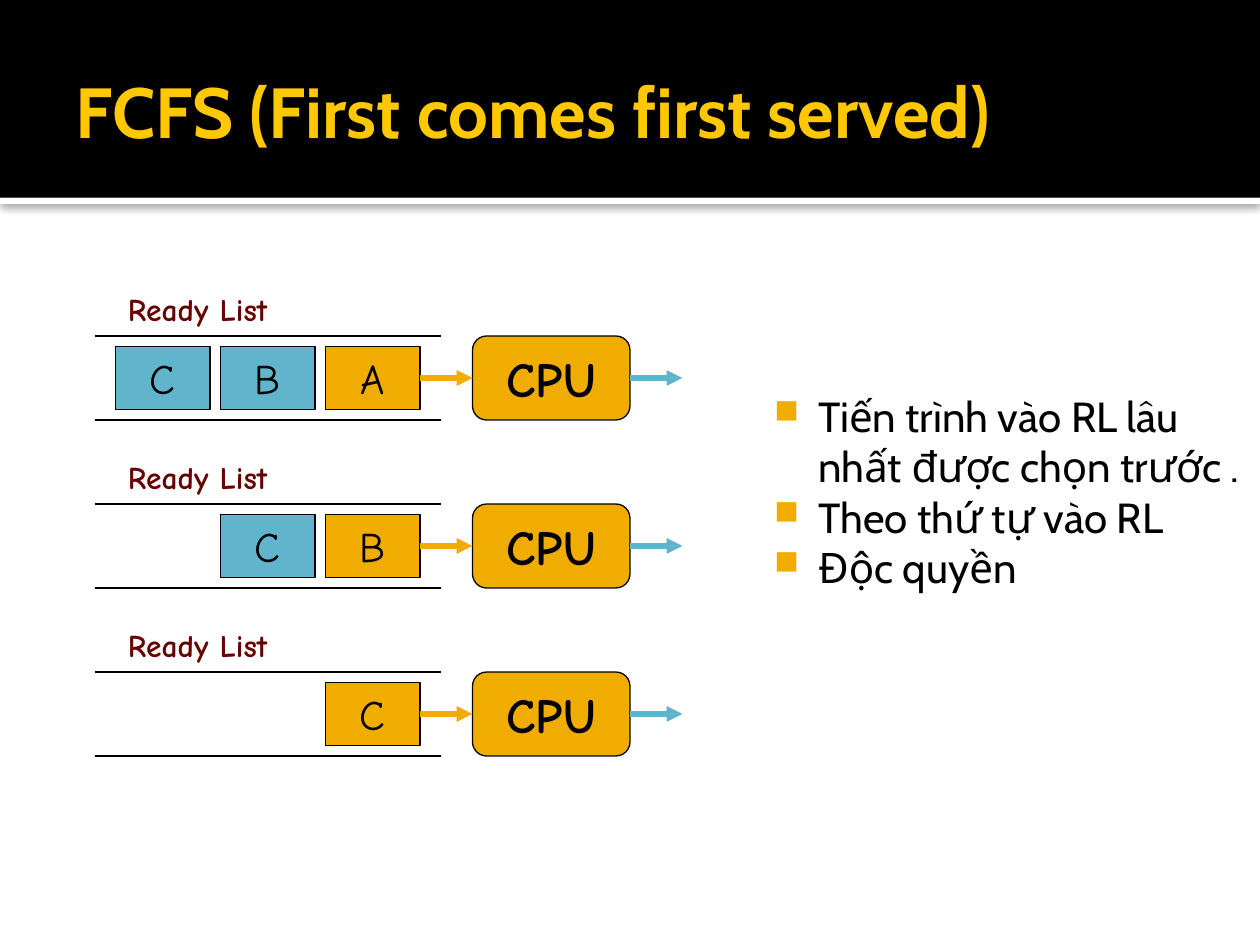
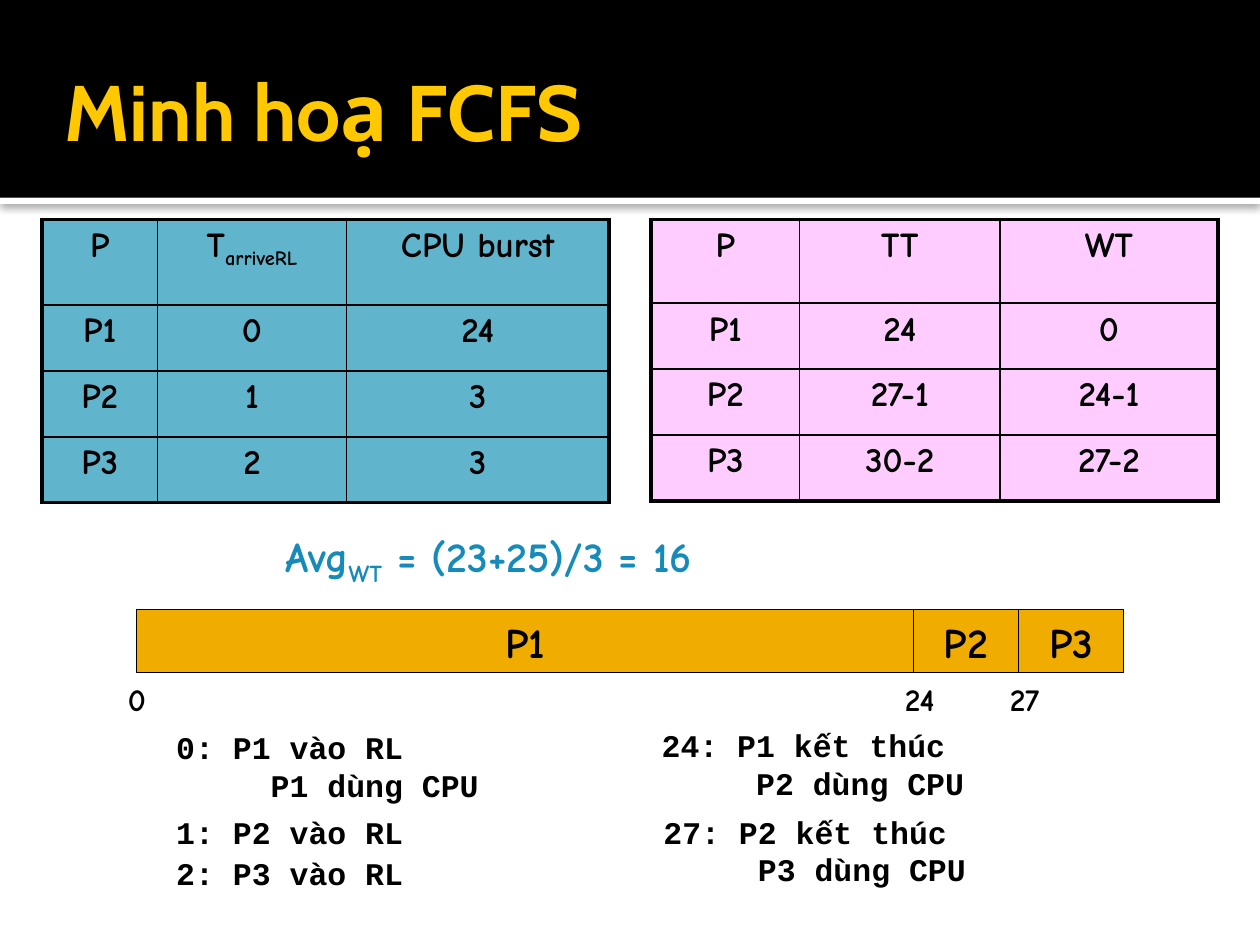
from itertools import accumulate

from lxml.etree import SubElement
from pptx import Presentation
from pptx.dml.color import RGBColor
from pptx.enum.shapes import MSO_CONNECTOR as Connector, MSO_SHAPE as Preset
from pptx.enum.text import MSO_ANCHOR as Anchor, PP_ALIGN as Align
from pptx.oxml.ns import qn
from pptx.util import Pt

COLORS = {
    "black": "000000",
    "white": "FFFFFF",
    "title": "FFC800",
    "gold": "F0AD00",
    "blue": "60B5CC",
    "pink": "FFCCFF",
    "maroon": "680000",
    "result": "168BBA",
}

STYLES = {
    "title": {"name": "Cabin", "size": Pt(45), "bold": True},
    "body": {"name": "Cabin", "size": Pt(24)},
    "process": {"name": "Comic Neue", "size": Pt(24)},
    "cpu": {"name": "Comic Neue", "size": Pt(28), "bold": True},
    "label": {"name": "Comic Neue", "size": Pt(18), "bold": True},
    "cell": {"name": "Comic Neue", "size": Pt(20), "bold": True},
    "strong": {"name": "Comic Neue", "size": Pt(24), "bold": True},
    "log": {"name": "Courier New", "size": Pt(18), "bold": True},
}


def rgb(color):
    return RGBColor.from_string(COLORS[color])


def set_attributes(target, values):
    for name, value in values.items():
        setattr(target, name, value)


def write_paragraph(paragraph, text, style, color="black"):
    for number, line in enumerate(text.split("\n")):
        if number:
            paragraph.add_line_break()
        for index, part in enumerate(line.split("_")):
            run = paragraph.add_run()
            run.text = part
            set_attributes(run.font, STYLES[style])
            run.font.color.rgb = rgb(color)
            if index % 2:
                run.font._element.set("baseline", "-25000")


def add_text(slide, box, text, style, color="black", **frame_format):
    shape = slide.shapes.add_textbox(*map(Pt, box))
    frame = shape.text_frame
    set_attributes(frame, {"word_wrap": True, **frame_format})
    write_paragraph(frame.paragraphs[0], text, style, color)
    return frame


def add_block(slide, box, fill, text="", style="process", preset=Preset.RECTANGLE, outlined=True):
    shape = slide.shapes.add_shape(preset, *map(Pt, box))
    shape.shadow.inherit = False
    shape.fill.solid()
    shape.fill.fore_color.rgb = rgb(fill)
    if outlined:
        shape.line.color.rgb = rgb("black")
        shape.line.width = Pt(0.75)
    else:
        shape.line.fill.background()
    if text:
        frame = shape.text_frame
        set_attributes(frame, {"word_wrap": False, "vertical_anchor": Anchor.MIDDLE})
        frame.paragraphs[0].alignment = Align.CENTER
        write_paragraph(frame.paragraphs[0], text, style)
    return shape


def add_line(slide, left, right, y, color="black", width=0.75, arrow=False):
    connector = slide.shapes.add_connector(
        Connector.STRAIGHT, Pt(left), Pt(y), Pt(right), Pt(y))
    connector.line.color.rgb = rgb(color)
    connector.line.width = Pt(width)
    properties = connector.element.spPr
    if arrow:
        SubElement(properties.find(qn("a:ln")), qn("a:tailEnd"), type="triangle")
    SubElement(properties, qn("a:effectLst"))


def add_shadow(shape):
    effects = shape.element.spPr.find(qn("a:effectLst"))
    shadow = SubElement(effects, qn("a:outerShdw"), blurRad=str(Pt(5)),
                        dist=str(Pt(0.8)), dir="5400000", algn="t", rotWithShape="0")
    color = SubElement(shadow, qn("a:srgbClr"), val=COLORS["black"])
    SubElement(color, qn("a:alpha"), val="60000")


def add_titled_slide(presentation, title, left, size):
    slide = presentation.slides.add_slide(presentation.slide_layouts[6])
    slide.background.fill.solid()
    slide.background.fill.fore_color.rgb = rgb("white")
    add_shadow(add_block(slide, (0, 113, 720, 3.6), "white", outlined=False))
    add_block(slide, (0, 0, 720, 113), "black", outlined=False)
    frame = add_text(slide, (left, 18, 588, 90), title, "title", "title",
                     vertical_anchor=Anchor.MIDDLE, margin_right=Pt(3.6))
    frame.paragraphs[0].runs[0].font.size = Pt(size)
    return slide


def add_bullets(slide, box, items):
    frame = add_text(slide, box, items[0], "body", margin_top=Pt(7.2))
    for item in items[1:]:
        write_paragraph(frame.add_paragraph(), item, "body")
    for paragraph in frame.paragraphs:
        properties = paragraph._p.get_or_add_pPr()
        properties.set("marL", str(Pt(34.5)))
        properties.set("indent", str(Pt(-25.2)))
        color = SubElement(properties, qn("a:buClr"))
        SubElement(color, qn("a:srgbClr"), val=COLORS["gold"])
        SubElement(properties, qn("a:buSzPct"), val="80000")
        SubElement(properties, qn("a:buChar"), char="■")


def add_queue(slide, top, waiting):
    middle = top + 24
    add_text(slide, (66, top - 30, 117, 31), "Ready List", "label", "maroon")
    for y in (top, top + 48):
        add_line(slide, 54, 252, y)
    for place, name in enumerate(waiting):
        fill = "blue" if place else "gold"
        add_block(slide, (186 - 60 * place, top + 6, 54, 36), fill, name)
    add_block(slide, (270, top, 90, 48), "gold", "CPU", "cpu", Preset.ROUNDED_RECTANGLE)
    add_line(slide, 240, 270, middle, "gold", 3, arrow=True)
    add_line(slide, 360, 390, middle, "blue", 3, arrow=True)


def add_border(cell, side, width):
    properties = cell._tc.get_or_add_tcPr()
    line = SubElement(properties, qn(f"a:ln{side}"), w=str(Pt(width)))
    fill = SubElement(line, qn("a:solidFill"))
    SubElement(fill, qn("a:srgbClr"), val=COLORS["black"])


def add_grid(slide, left, widths, header_height, fill, rows):
    row_height = 37.7
    height = header_height + row_height * (len(rows) - 1)
    table = slide.shapes.add_table(len(rows), len(widths), Pt(left), Pt(125.3),
                                   Pt(sum(widths)), Pt(height)).table
    set_attributes(table, {"first_row": False, "horz_banding": False})
    for column, width in zip(table.columns, widths):
        column.width = Pt(width)
    for r, values in enumerate(rows):
        table.rows[r].height = Pt(row_height if r else header_height)
        for c, value in enumerate(values):
            cell = table.cell(r, c)
            outer = {"L": c == 0, "R": c == len(widths) - 1,
                     "T": r == 0, "B": r == len(rows) - 1}
            for side, is_outer in outer.items():
                add_border(cell, side, 2.25 if is_outer else 1)
            cell.fill.solid()
            cell.fill.fore_color.rgb = rgb(fill)
            paragraph = cell.text_frame.paragraphs[0]
            paragraph.alignment = Align.CENTER
            write_paragraph(paragraph, value, "cell")


def add_timeline(slide, left, top, segments):
    names, widths, starts = zip(*segments)
    offsets = accumulate(widths, initial=left)
    for name, width, start, x in zip(names, widths, starts, offsets):
        add_block(slide, (x, top, width, 36), "gold", name, "strong")
        add_text(slide, (x - 12, top + 36.7, 13 + 12 * len(start), 29), start, "label")


def add_log(slide, left, top, text):
    height = 55 if "\n" in text else 32
    frame = add_text(slide, (left, top, 207, height), text, "log")
    properties = frame.paragraphs[0]._p.get_or_add_pPr()
    properties.set("marL", str(Pt(54)))
    properties.set("indent", str(Pt(-54)))


def build_principle(presentation):
    slide = add_titled_slide(presentation, "FCFS (First comes first served)", 36, 40.5)
    add_bullets(slide, (426, 216, 294, 149), [
        "Tiến trình vào RL lâu nhất được chọn trước .",
        "Theo thứ tự vào RL",
        "Độc quyền",
    ])
    for number, waiting in enumerate(("ABC", "BC", "C")):
        add_queue(slide, 192 + 96 * number, waiting)


def build_example(presentation):
    slide = add_titled_slide(presentation, "Minh hoạ FCFS", 30, 45)
    add_grid(slide, 24, (66, 108, 150), 49, "blue", [
        ("P", "T_arriveRL", "CPU burst"),
        ("P1", "0", "24"),
        ("P2", "1", "3"),
        ("P3", "2", "3"),
    ])
    add_grid(slide, 372, (85, 114.5, 124.5), 48, "pink", [
        ("P", "TT", "WT"),
        ("P1", "24", "0"),
        ("P2", "27-1", "24-1"),
        ("P3", "30-2", "27-2"),
    ])
    add_text(slide, (156, 299.5, 384, 36), "Avg_WT_ = (23+25)/3 = 16", "strong", "result")
    add_timeline(slide, 78, 348.5, [("P1", 444, "0"), ("P2", 60, "24"), ("P3", 60, "27")])
    for left, top, text in (
        (93.6, 412.6, "0: P1 vào RL\nP1 dùng CPU"),
        (93.6, 460.8, "1: P2 vào RL"),
        (93.6, 484.6, "2: P3 vào RL"),
        (371, 411.6, "24: P1 kết thúc\nP2 dùng CPU"),
        (372, 460.8, "27: P2 kết thúc\nP3 dùng CPU"),
    ):
        add_log(slide, left, top, text)


def main():
    presentation = Presentation()
    presentation.slide_width = Pt(720)
    presentation.slide_height = Pt(540)
    build_principle(presentation)
    build_example(presentation)
    presentation.save("out.pptx")


main()
